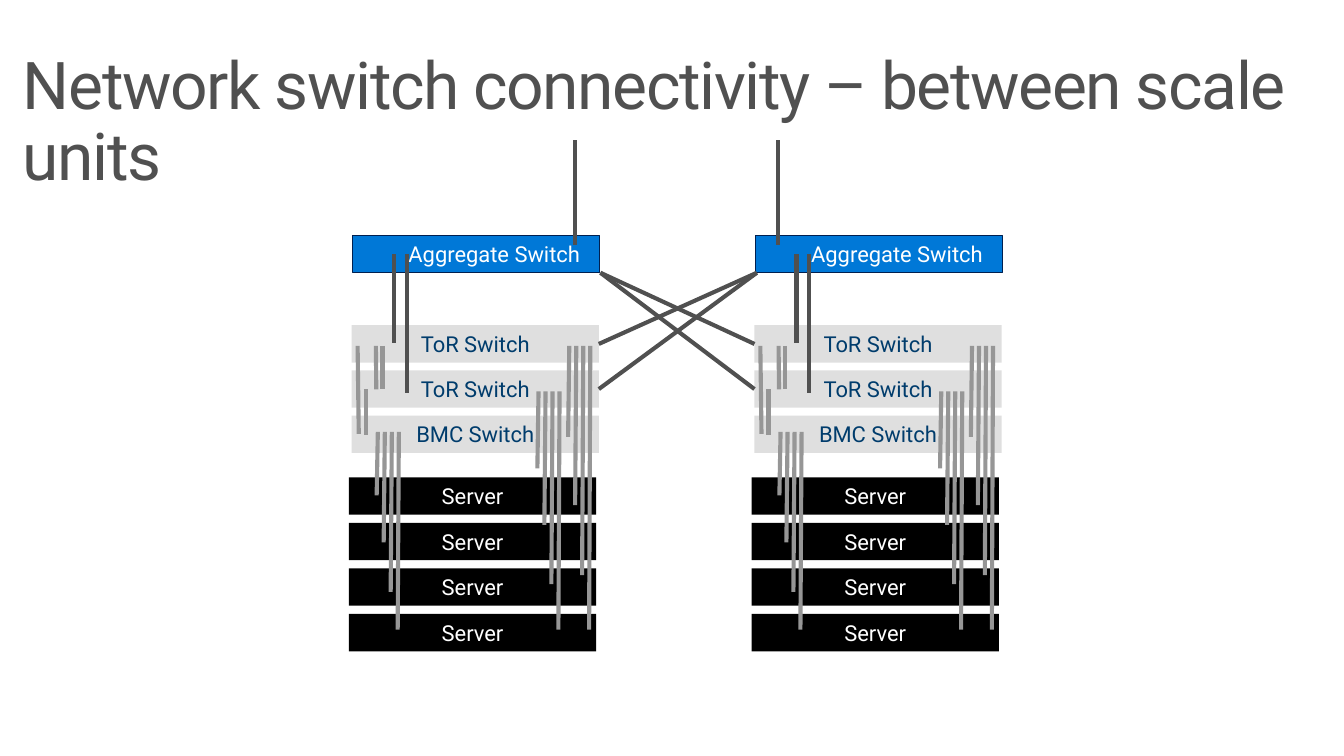
"""Build a slide showing network switch connectivity between two scale units."""
import pptx
import pptx.dml.color
import pptx.enum.shapes
import pptx.enum.text
import pptx.oxml.ns
import pptx.util
from lxml import etree
from pptx.util import Cm

COLORS = {"heading": "505050", "uplink": "505050", "cable": "969696",
          "switch": "DFDFDF", "switch_text": "003C6C", "server": "000000",
          "aggregate": "0078D7", "aggregate_edge": "002050", "white": "FFFFFF"}
RGB = {part: pptx.dml.color.RGBColor.from_string(code) for part, code in COLORS.items()}
ALIGN = pptx.enum.text.PP_ALIGN
LEFT_SIDE, RIGHT_SIDE = 1, 3
UNIT_PITCH = 10.35
DEVICE_WIDTH, DEVICE_HEIGHT = 6.35, 0.96

deck = pptx.Presentation()
deck.slide_width, deck.slide_height = Cm(34.54), Cm(19.43)
slide = deck.slides.add_slide(deck.slide_layouts[5])


def add_device(label, left, top, fill, ink, align=ALIGN.CENTER):
    device = slide.shapes.add_shape(
        pptx.enum.shapes.MSO_SHAPE.RECTANGLE,
        Cm(left), Cm(top), Cm(DEVICE_WIDTH), Cm(DEVICE_HEIGHT))
    device.shadow.inherit = False
    device.fill.solid()
    device.fill.fore_color.rgb = RGB[fill]
    device.line.fill.background()
    frame = device.text_frame
    frame.margin_left = frame.margin_right = Cm(0.51)
    frame.margin_top = frame.margin_bottom = 0
    frame.vertical_anchor = pptx.enum.text.MSO_ANCHOR.MIDDLE
    frame.word_wrap = True
    frame.text = label
    frame.paragraphs[0].alignment = align
    font = frame.paragraphs[0].runs[0].font
    font.name, font.size = "Roboto", pptx.util.Pt(16)
    font.color.rgb = RGB[ink]
    return device


def add_cable(x1, y1, x2, y2, color):
    cable = slide.shapes.add_connector(
        pptx.enum.shapes.MSO_CONNECTOR.STRAIGHT, Cm(x1), Cm(y1), Cm(x2), Cm(y2))
    cable.line.color.rgb = RGB[color]
    cable.line.width = pptx.util.Pt(3)
    etree.SubElement(cable._element.spPr, pptx.oxml.ns.qn("a:effectLst"))
    return cable


heading = slide.shapes.title
heading.left, heading.top, heading.width, heading.height = Cm(0.18), Cm(1.09), Cm(34.21), Cm(2.54)
heading_frame = heading.text_frame
heading_frame.text = "Network switch connectivity – between scale units"
heading_frame.word_wrap = True
heading_frame.auto_size = pptx.enum.text.MSO_AUTO_SIZE.NONE
heading_frame.vertical_anchor = pptx.enum.text.MSO_ANCHOR.TOP
heading_frame.margin_left = heading_frame.margin_right = Cm(0.41)
heading_frame.margin_top = heading_frame.margin_bottom = Cm(0.25)
heading_line = heading_frame.paragraphs[0]
heading_line.alignment = ALIGN.LEFT
heading_line.line_spacing = 0.9
heading_run = heading_line.runs[0]
heading_run.font.name, heading_run.font.size = "Roboto", pptx.util.Pt(48)
heading_run.font.color.rgb = RGB["heading"]
heading_run.font._element.set("spc", "-100")

switch_links = [(9.4, 10.01, 9.4, 11.18), (9.19, 8.89, 9.22, 11.15),
                (9.83, 8.89, 9.83, 10.01), (9.66, 8.89, 9.67, 10.01)]
server_fans = [(13.84, 10.06, [12.04, 13.49, 15.01, 16.18]),
               (9.71, 11.1, [12.73, 13.94, 15.21, 16.18]),
               (14.63, 8.89, [11.23, 12.98, 14.78, 16.18])]
FAN_STEP, FAN_LEAN = 0.18, 0.03

unit_switches = []
for unit in range(2):
    shift = unit * UNIT_PITCH
    unit_switches.append([
        add_device(label, 9.04 + shift, 8.36 + row * 1.16, "switch", "switch_text")
        for row, label in enumerate(["ToR Switch", "ToR Switch", "BMC Switch"])])
    for row in range(4):
        add_device("Server", 8.97 + shift, 12.27 + row * 1.17, "server", "white")
    for x1, y1, x2, y2 in switch_links:
        add_cable(x1 + shift, y1, x2 + shift, y2, "cable")
    for fan_left, fan_top, bottoms in server_fans:
        for step, bottom in enumerate(bottoms):
            x = fan_left + shift + step * FAN_STEP
            add_cable(x, fan_top, x - FAN_LEAN, bottom, "cable")

for unit, uplink_x in enumerate([14.78, 19.99]):
    shift = unit * UNIT_PITCH
    aggregate = add_device("Aggregate Switch", 9.07 + shift, 6.05,
                           "aggregate", "white", ALIGN.RIGHT)
    aggregate.line.color.rgb = RGB["aggregate_edge"]
    aggregate.line.width = pptx.util.Pt(0.75)
    add_cable(uplink_x, 3.61, uplink_x, 6.3, "uplink")
    for x, bottom in [(10.12, 8.81), (10.45, 10.11)]:
        add_cable(x + shift, 6.53, x + shift, bottom, "uplink")

for corner_x, far_unit, side in [(15.43, 1, LEFT_SIDE), (19.45, 0, RIGHT_SIDE)]:
    for tor_switch in unit_switches[far_unit][:2]:
        crossing = add_cable(corner_x, 7.01, corner_x, 7.01, "uplink")
        crossing.end_connect(tor_switch, side)

deck.save("out.pptx")
